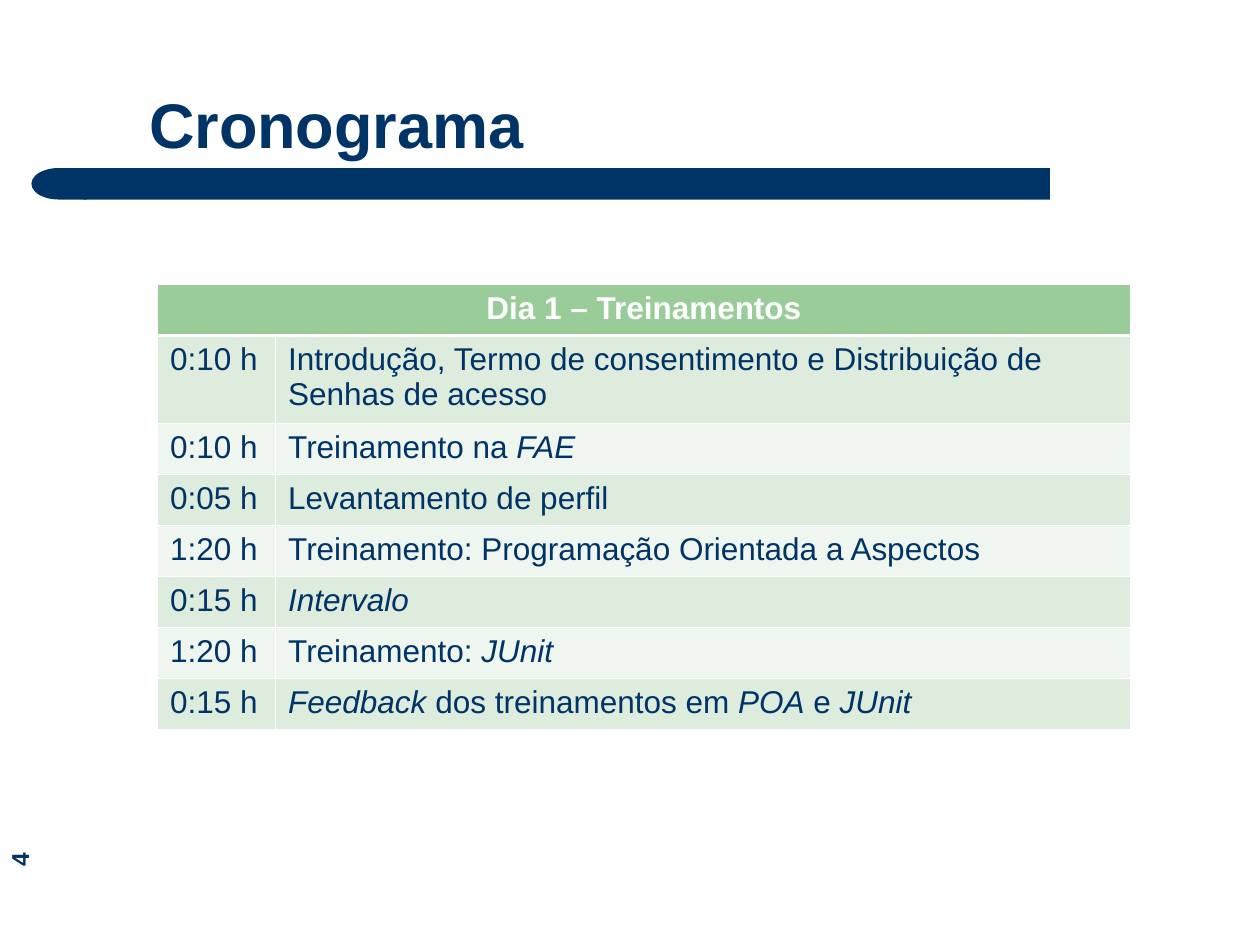
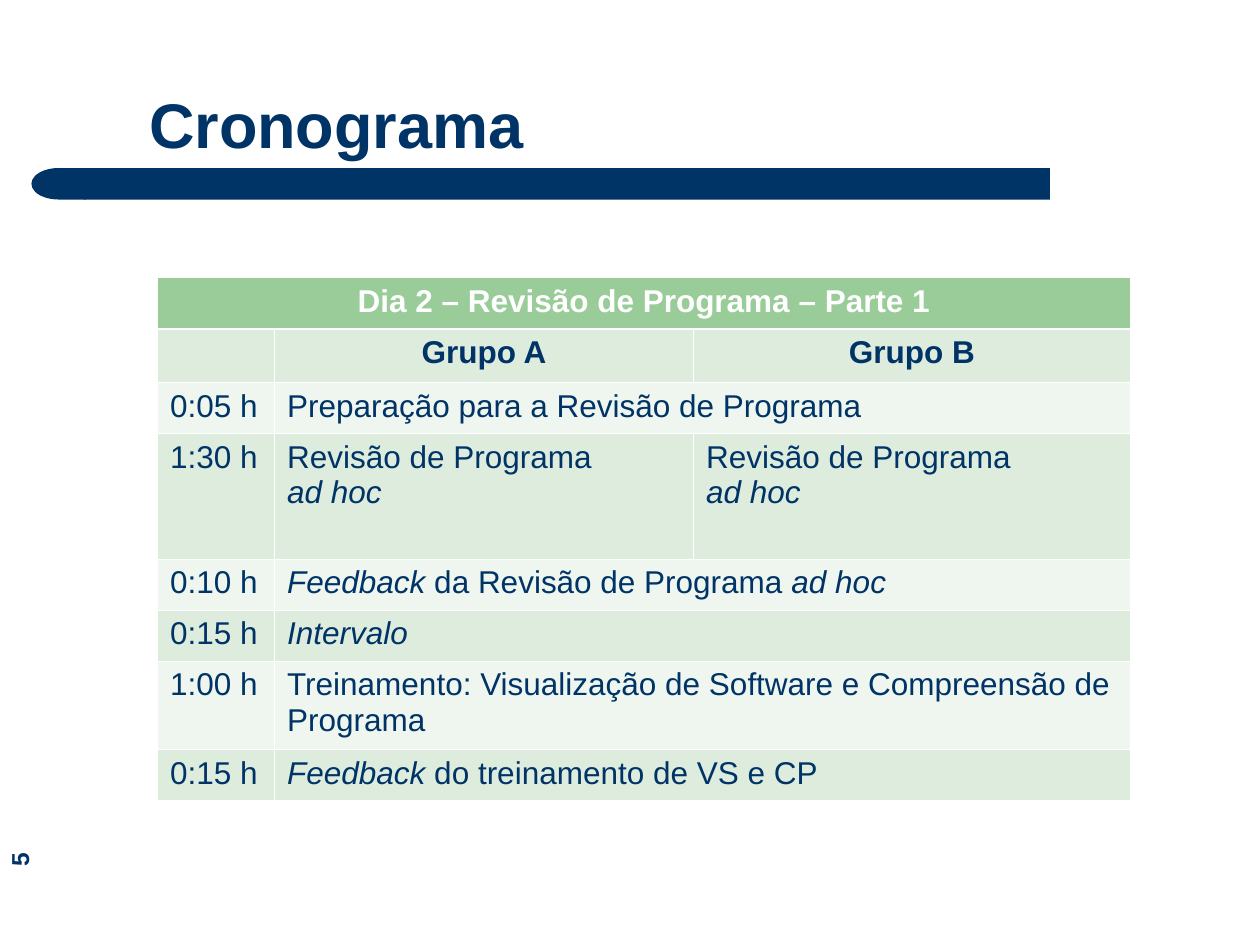
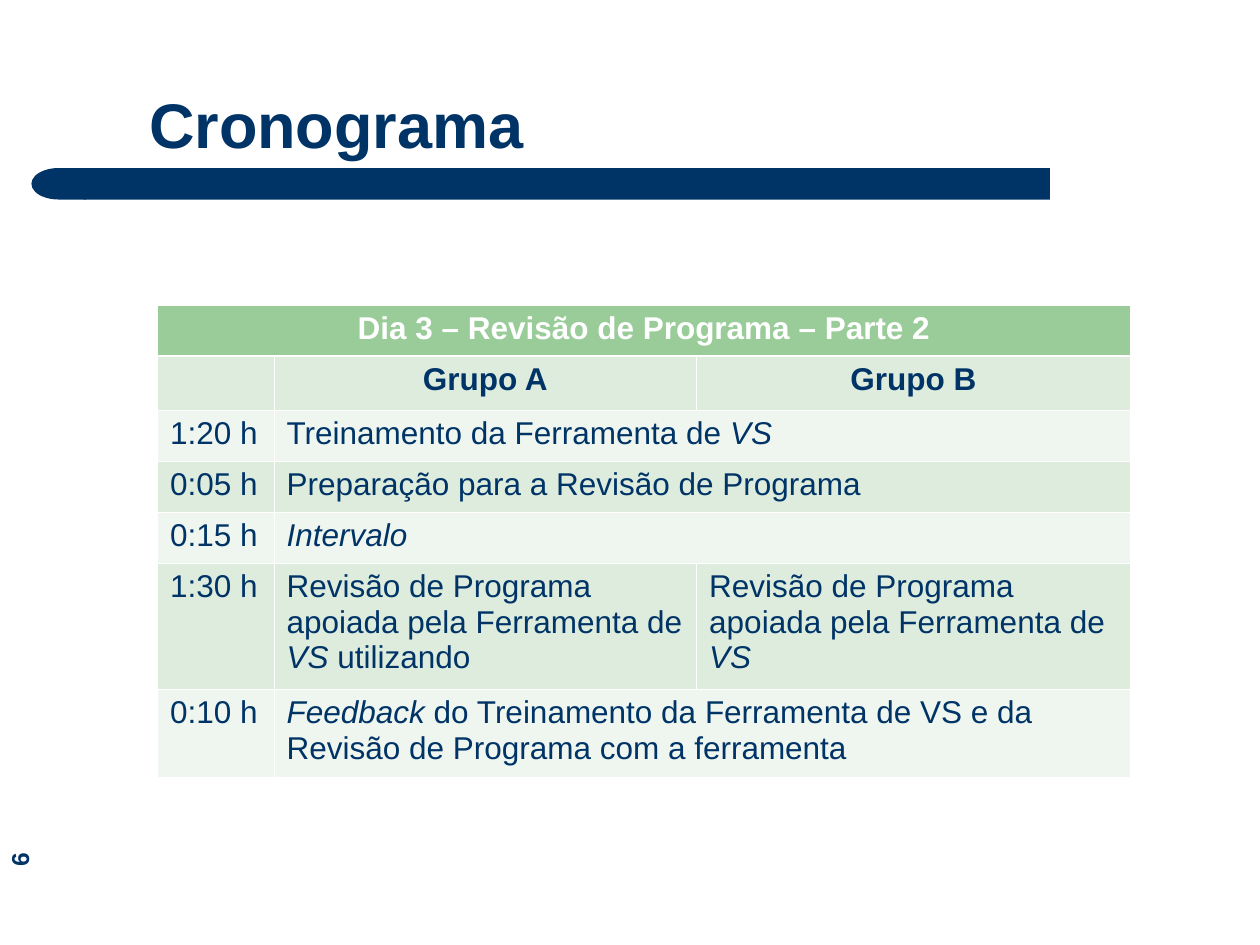
from dataclasses import dataclass

from lxml.etree import SubElement
from pptx import Presentation
from pptx.dml.color import RGBColor
from pptx.enum.shapes import MSO_SHAPE as Preset
from pptx.enum.text import MSO_ANCHOR as Anchor, MSO_AUTO_SIZE as AutoSize, PP_ALIGN as Align
from pptx.oxml.ns import qn
from pptx.util import Inches, Pt


@dataclass(frozen=True)
class Theme:
    """Colours, font and type sizes of the deck."""
    font: str = "Arial"
    navy: str = "003366"
    white: str = "FFFFFF"
    header: str = "99CC99"
    stripes: tuple = ("EFF6EF", "DEECDE")
    title_size: int = 36
    table_size: int = 18
    number_size: int = 14
    thin_line: float = 0.45
    thick_line: float = 1.47


def apply(target, values):
    """Set every attribute named in a dict."""
    for name, value in values.items():
        setattr(target, name, value)


class Deck:
    """Draws elements on the current slide, on a grid of 120 columns by 90 rows."""

    def __init__(self, theme):
        """Start an empty presentation of 10 by 7.5 inches."""
        self.theme = theme
        self.presentation = Presentation()
        apply(self.presentation, {"slide_width": Inches(10), "slide_height": Inches(7.5)})
        self.cell_width = self.presentation.slide_width / 120
        self.cell_height = self.presentation.slide_height / 90

    def box(self, left, top, width, height):
        """Turn grid units into a position and a size."""
        return (int(left * self.cell_width), int(top * self.cell_height),
                int(width * self.cell_width), int(height * self.cell_height))

    def add_text(self, paragraph, text, size, color, bold=False, align=Align.LEFT):
        """Add text in which *stars* enclose italics."""
        paragraph.alignment = align
        for index, part in enumerate(text.split("*")):
            if part:
                run = paragraph.add_run()
                run.text = part
                apply(run.font, {"name": self.theme.font, "size": Pt(size),
                                 "bold": bold, "italic": index % 2 == 1})
                run.font.color.rgb = RGBColor.from_string(color)

    def new_slide(self, title, number):
        """Add a slide with its band, title and number."""
        layout = self.presentation.slide_layouts[5]
        self.slide = self.presentation.slides.add_slide(layout)
        self.band()
        self.title(title)
        self.number(number)

    def band(self):
        """Draw the bar with a round left end."""
        bar = self.bar_part(Preset.ROUNDED_RECTANGLE, 8, 92)
        bar.adjustments[0] = 0
        cap = self.bar_part(Preset.FLOWCHART_DELAY, 3, 5.16)
        cap.element.spPr.find(qn("a:xfrm")).set("flipH", "1")

    def bar_part(self, preset, left, width):
        """Draw one filled part of the band."""
        shape = self.slide.shapes.add_shape(preset, *self.box(left, 16, width, 3))
        shape.shadow.inherit = False
        shape.fill.solid()
        shape.fill.fore_color.rgb = RGBColor.from_string(self.theme.navy)
        shape.line.fill.background()
        return shape

    def title(self, text):
        """Place and format the title placeholder."""
        shape = self.slide.shapes.title
        left, top, width, height = self.box(13, 1, 105, 15)
        apply(shape, {"left": left, "top": top, "width": width, "height": height})
        apply(shape.text_frame, {"vertical_anchor": Anchor.BOTTOM, "auto_size": AutoSize.NONE})
        paragraph = shape.text_frame.paragraphs[0]
        paragraph.line_spacing = 0.9
        self.add_text(paragraph, text, self.theme.title_size, self.theme.navy, True)

    def number(self, value):
        """Put the slide number upwards at the left edge."""
        shape = self.slide.shapes.add_textbox(*self.box(-6.36, 79.8, 16.32, 4.08))
        shape.rotation = 270
        apply(shape.text_frame, {"word_wrap": True, "vertical_anchor": Anchor.BOTTOM})
        self.add_text(shape.text_frame.paragraphs[0], str(value), self.theme.number_size,
                      self.theme.navy, True, Align.CENTER)

    def schedule(self, top, widths, lines, rows):
        """Draw a timetable; the last cell of a short row spans the rest."""
        heights = [1.32 + 3.54 * count for count in lines]
        table = self.slide.shapes.add_table(
            len(rows), len(widths), *self.box(15, top, sum(widths), sum(heights))).table
        for column, width in zip(table.columns, widths):
            column.width = int(width * self.cell_width)
        for index, (row, height, texts) in enumerate(zip(table.rows, heights, rows)):
            row.height = int(height * self.cell_height)
            for cell in row.cells:
                self.style_cell(cell, index)
            if len(texts) < len(widths):
                table.cell(index, len(texts) - 1).merge(table.cell(index, len(widths) - 1))
            heading = index == 0 or not texts[0]
            for cell, text in zip(row.cells, texts):
                self.fill_cell(cell, text, index == 0, heading)

    def style_cell(self, cell, index):
        """Give a cell its borders and its row's fill."""
        theme = self.theme
        thick_edge = {0: "lnB", 1: "lnT"}.get(index)
        properties = cell._tc.get_or_add_tcPr()
        for edge in ("lnL", "lnR", "lnT", "lnB"):
            width = theme.thick_line if edge == thick_edge else theme.thin_line
            line = SubElement(properties, qn(f"a:{edge}"), w=str(int(Pt(width))))
            SubElement(SubElement(line, qn("a:solidFill")), qn("a:srgbClr"), val=theme.white)
        cell.fill.solid()
        color = theme.stripes[index % 2] if index else theme.header
        cell.fill.fore_color.rgb = RGBColor.from_string(color)

    def fill_cell(self, cell, text, top_row, heading):
        """Fill a cell, one paragraph for each line."""
        frame = cell.text_frame
        color = self.theme.white if top_row else self.theme.navy
        align = Align.CENTER if heading else Align.LEFT
        for index, line in enumerate(text.split("\n")):
            paragraph = frame.add_paragraph() if index else frame.paragraphs[0]
            self.add_text(paragraph, line, self.theme.table_size, color, heading, align)


GROUPS = ("", "Grupo A", "Grupo B")
GROUP_LINES = 1.08
AD_HOC = "Revisão de Programa\n*ad hoc*"
WITH_TOOL = "Revisão de Programa\napoiada pela Ferramenta de *VS*"
PREPARATION = ("0:05 h", "Preparação para a Revisão de Programa")
BREAK = ("0:15 h", "*Intervalo*")

DAYS = [
    {"top": 27.1, "widths": (11.25, 81.4), "lines": (1, 2, 1, 1, 1, 1, 1, 1), "rows": [
        ("Dia 1 – Treinamentos",),
        ("0:10 h", "Introdução, Termo de consentimento e Distribuição de Senhas de acesso"),
        ("0:10 h", "Treinamento na *FAE*"),
        ("0:05 h", "Levantamento de perfil"),
        ("1:20 h", "Treinamento: Programação Orientada a Aspectos"),
        BREAK,
        ("1:20 h", "Treinamento: *JUnit*"),
        ("0:15 h", "*Feedback* dos treinamentos em *POA* e *JUnit*"),
    ]},
    {"top": 26.45, "widths": (11.15, 39.9, 41.6),
     "lines": (1, GROUP_LINES, 1, 3, 1, 1, 2, 1), "rows": [
        ("Dia 2 – Revisão de Programa – Parte 1",),
        GROUPS,
        PREPARATION,
        ("1:30 h", AD_HOC, AD_HOC),
        ("0:10 h", "*Feedback* da Revisão de Programa *ad hoc*"),
        BREAK,
        ("1:00 h", "Treinamento: Visualização de Software e Compreensão de Programa"),
        ("0:15 h", "*Feedback* do treinamento de VS e CP"),
    ]},
    {"top": 29.05, "widths": (11.1, 40.25, 41.3),
     "lines": (1, GROUP_LINES, 1, 1, 1, 3, 2), "rows": [
        ("Dia 3 – Revisão de Programa – Parte 2",),
        GROUPS,
        ("1:20 h", "Treinamento da Ferramenta de *VS*"),
        PREPARATION,
        BREAK,
        ("1:30 h", WITH_TOOL + " utilizando", WITH_TOOL),
        ("0:10 h", "*Feedback* do Treinamento da Ferramenta de VS e da "
                   "Revisão de Programa com a ferramenta"),
    ]},
]


def main():
    """Build one timetable slide for each day."""
    deck = Deck(Theme())
    for number, day in enumerate(DAYS, start=4):
        deck.new_slide("Cronograma", number)
        deck.schedule(**day)
    deck.presentation.save("out.pptx")


if __name__ == "__main__":
    main()
